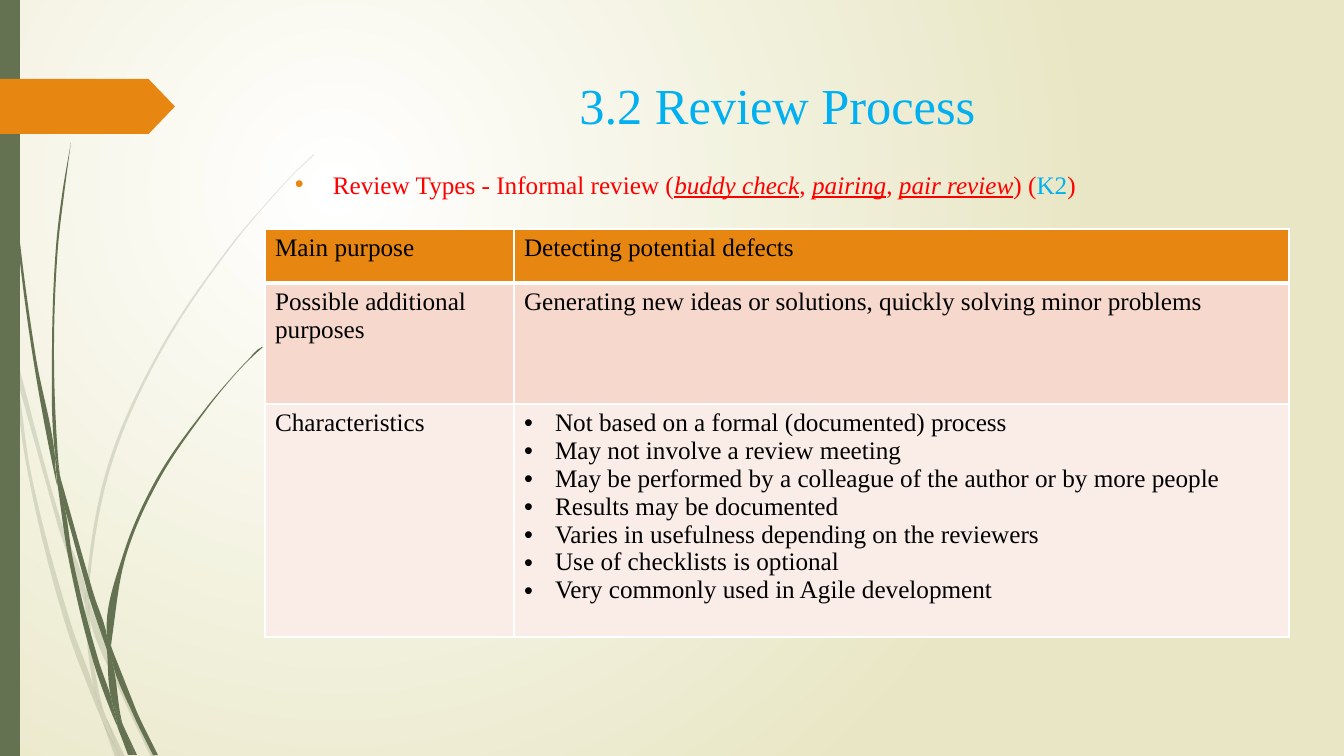
import math

from lxml import etree
from pptx import Presentation
from pptx import util as u
from pptx.dml.color import RGBColor
from pptx.enum import shapes, text
from pptx.oxml.ns import qn

PX = 914400 / 100.8
FONT = "Times New Roman"
C = {"white": "FFFFFF", "sand": "E8E6C4", "green": "647252", "orange": "E78712",
     "blue": "00B0F0", "red": "FF0000", "black": "000000", "rose": "F6D9CC", "blush": "FAEDE7"}

PALE_BLADES = [
    [(11, 353), (9, 325), (0, 284), (0, 301), (10, 347)],
    [(58, 526), (85, 604), (86, 591), (62, 524), (14, 348), (17, 379)],
    [(93, 612), (89, 601), (89, 615), (124, 700), (151, 757), (156, 757), (128, 698)],
    [(120, 757), (125, 757), (106, 717)],
    [(94, 688), (71, 624), (31, 473), (17, 379), (11, 353), (28, 474), (66, 626), (93, 699),
     (102, 720), (100, 713)],
    [(85, 604), (88, 651), (94, 688), (97, 698), (106, 717), (104, 712), (92, 651), (89, 615)],
    [(89, 589), (111, 466), (161, 352), (231, 247), (270, 200), (292, 176), (314, 155), (314, 154),
     (291, 176), (270, 199), (230, 246), (159, 351), (108, 465), (86, 589), (86, 591), (89, 601)],
    [(102, 720), (115, 757), (120, 757)],
    [(89, 615), (89, 601), (86, 591), (85, 604)],
    [(97, 698), (94, 688), (100, 713), (102, 720), (120, 757), (106, 717)],
]
DARK_BLADES = [
    [(7, 111), (17, 235), (33, 358), (56, 481), (57, 485), (55, 461), (55, 457), (36, 358),
     (19, 234), (8, 110), (5, 48), (4, 0), (3, 0), (4, 48)],
    [(89, 597), (107, 650), (107, 636), (94, 595), (60, 476), (65, 509)],
    [(114, 654), (111, 646), (112, 661), (133, 714), (153, 755), (158, 755), (137, 712)],
    [(111, 697), (99, 662), (73, 560), (65, 509), (57, 481), (69, 561), (94, 664), (112, 714),
     (118, 728), (117, 723)],
    [(60, 476), (58, 457), (54, 352), (58, 247), (64, 195), (71, 142), (62, 195), (56, 247),
     (52, 352), (55, 453)],
    [(134, 755), (137, 755), (123, 725)],
    [(57, 481), (65, 509), (60, 476), (55, 453), (55, 457)],
    [(112, 638), (126, 556), (159, 480), (207, 409), (233, 377), (247, 362), (263, 347), (262, 347),
     (247, 361), (233, 376), (206, 408), (157, 478), (123, 555), (107, 636), (111, 646)],
    [(118, 728), (128, 755), (132, 755)],
    [(107, 650), (111, 697), (117, 712), (123, 725), (122, 722), (112, 661), (110, 656)],
    [(107, 636), (107, 650), (112, 661), (111, 646)],
    [(117, 712), (111, 697), (117, 723), (118, 728), (131, 755), (134, 755), (123, 725)],
]
ROWS = [
    ("orange", 54, ["Main purpose"], ["Detecting potential defects"]),
    ("rose", 121, ["Possible additional purposes"],
     ["Generating new ideas or solutions, quickly solving minor problems"]),
    ("blush", 233, ["Characteristics"],
     ["Not based on a formal (documented) process",
      "May not involve a review meeting",
      "May be performed by a colleague of the author or by more people",
      "Results may be documented",
      "Varies in usefulness depending on the reviewers",
      "Use of checklists is optional",
      "Very commonly used in Agile development"]),
]


def emu(*values):
    return [u.Emu(round(v * PX)) for v in values]


def rgb(name):
    return RGBColor.from_string(C[name])


def child(parent, tag, **attrs):
    return etree.SubElement(parent, qn(tag), {k: str(v) for k, v in attrs.items()})


def paint(sp, color):
    sp.shadow.inherit = False
    sp.fill.solid()
    sp.fill.fore_color.rgb = rgb(color)
    sp.line.fill.background()


def add_run(p, words, size, color, **extra):
    r = p.add_run()
    r.text = words
    r.font.color.rgb = rgb(color)
    for name, value in {"name": FONT, "size": u.Pt(size), **extra}.items():
        setattr(r.font, name, value)


def bullet(p, indent, color):
    pPr = p._p.get_or_add_pPr()
    pPr.set("marL", str(emu(indent)[0]))
    pPr.set("indent", str(-emu(indent)[0]))
    child(child(pPr, "a:buClr"), "a:srgbClr", val=C[color])
    child(pPr, "a:buFont", typeface="Arial")
    child(pPr, "a:buChar", char="•")


def text_box(s, box):
    tf = s.shapes.add_textbox(*emu(*box)).text_frame
    tf.word_wrap = True
    return tf.paragraphs[0]


def background(s):
    fill = s.background.fill
    fill.gradient()
    for stop, color, position in zip(fill.gradient_stops, ("white", "sand"), (0, 1)):
        stop.color.rgb = rgb(color)
        stop.position = position
    grad = s.background._cSld.find(".//" + qn("a:gradFill"))
    grad.remove(grad.find(qn("a:lin")))
    path = child(grad, "a:path", path="circle")
    child(path, "a:fillToRect", l=50000, t=50000, r=100000, b=100000)


def direction(a, b):
    length = math.dist(a, b)
    return (b[0] - a[0]) / length, (b[1] - a[1]) / length


def tangent(before, after, chord):
    is_corner = before[0] * after[0] + before[1] * after[1] < 0.7
    return chord if is_corner else direction((0, 0), (before[0] + after[0], before[1] + after[1]))


def round_edges(sp, outline):
    n = len(outline)
    chords = [direction(outline[i], outline[(i + 1) % n]) for i in range(n)]
    for i, line in enumerate(sp._element.findall(".//" + qn("a:lnTo"))):
        a, b = outline[i], outline[(i + 1) % n]
        reach = math.dist(a, b) / 3
        start = tangent(chords[i - 1], chords[i], chords[i])
        end = tangent(chords[i], chords[(i + 1) % n], chords[i])
        curve = etree.Element(qn("a:cubicBezTo"))
        for point, (dx, dy), sign in ((a, start, 1), (b, end, -1), (b, end, 0)):
            child(curve, "a:pt", x=round(point[0] + sign * reach * dx - sp.left),
                  y=round(point[1] + sign * reach * dy - sp.top))
        line.getparent().replace(line, curve)


def blade(s, x, y, points, alpha):
    outline = [emu(x + px, y + py) for px, py in points]
    builder = s.shapes.build_freeform(*outline[0], scale=1.0)
    builder.add_line_segments(outline[1:], close=True)
    sp = builder.convert_to_shape()
    round_edges(sp, outline)
    paint(sp, "green")
    if alpha < 100:
        child(sp._element.spPr.find(".//" + qn("a:srgbClr")), "a:alpha", val=alpha * 1000)


def decoration(s, box):
    x, y, w, h = box
    for blades, alpha in ((PALE_BLADES, 20), (DARK_BLADES, 100)):
        for points in blades:
            blade(s, x, y, points, alpha)
    kinds = shapes.MSO_SHAPE
    bar = s.shapes.add_shape(kinds.RECTANGLE, *emu(x, y, 20, h))
    paint(bar, "green")
    tag = s.shapes.add_shape(kinds.PENTAGON, *emu(x, y + 79, 175, 55))
    tag.adjustments[0] = 0.48
    paint(tag, "orange")


def title(s, box):
    p = text_box(s, box)
    p.alignment = text.PP_ALIGN.CENTER
    add_run(p, "3.2 Review Process", 36, "blue")


def subtitle(s, box):
    p = text_box(s, box)
    bullet(p, 38, "orange")
    term = {"italic": True, "underline": True}
    for words, color, extra in (
            ("Review Types - Informal review (", "red", {}), ("buddy check", "red", term),
            (", ", "red", {}), ("pairing", "red", term), (", ", "red", {}),
            ("pair review", "red", term), (") (", "red", {}), ("K2", "blue", {}), (")", "red", {})):
        add_run(p, words, 18, color, **extra)


def borders(cell, bottom):
    tcPr = cell._tc.get_or_add_tcPr()
    for i, (side, width) in enumerate((("L", 1), ("R", 1), ("T", 1), ("B", bottom))):
        ln = child(tcPr, "a:ln" + side, w=u.Pt(width))
        child(child(ln, "a:solidFill"), "a:srgbClr", val=C["white"])
        tcPr.insert(i, ln)


def review_table(s, box):
    tbl = s.shapes.add_table(len(ROWS), 2, *emu(*box)).table
    tbl.columns[0].width, tbl.columns[1].width = emu(249, box[2] - 249)
    for i, (color, height, *cells) in enumerate(ROWS):
        tbl.rows[i].height = emu(height)[0]
        for j, lines in enumerate(cells):
            cell = tbl.cell(i, j)
            cell.fill.solid()
            cell.fill.fore_color.rgb = rgb(color)
            borders(cell, 3 if i == 0 else 1)
            tf = cell.text_frame
            for k, line in enumerate(lines):
                p = tf.add_paragraph() if k else tf.paragraphs[0]
                if len(lines) > 1:
                    bullet(p, 31, "black")
                add_run(p, line, 18, "black", bold=False)


prs = Presentation()
prs.slide_width, prs.slide_height = emu(1344, 756)
s = prs.slides.add_slide(prs.slide_layouts[6])
background(s)
decoration(s, (0, 0, 1344, 756))
title(s, (286, 69, 983, 96))
subtitle(s, (285, 164, 983, 592))
review_table(s, (265, 229, 1024, 408))
prs.save("out.pptx")
